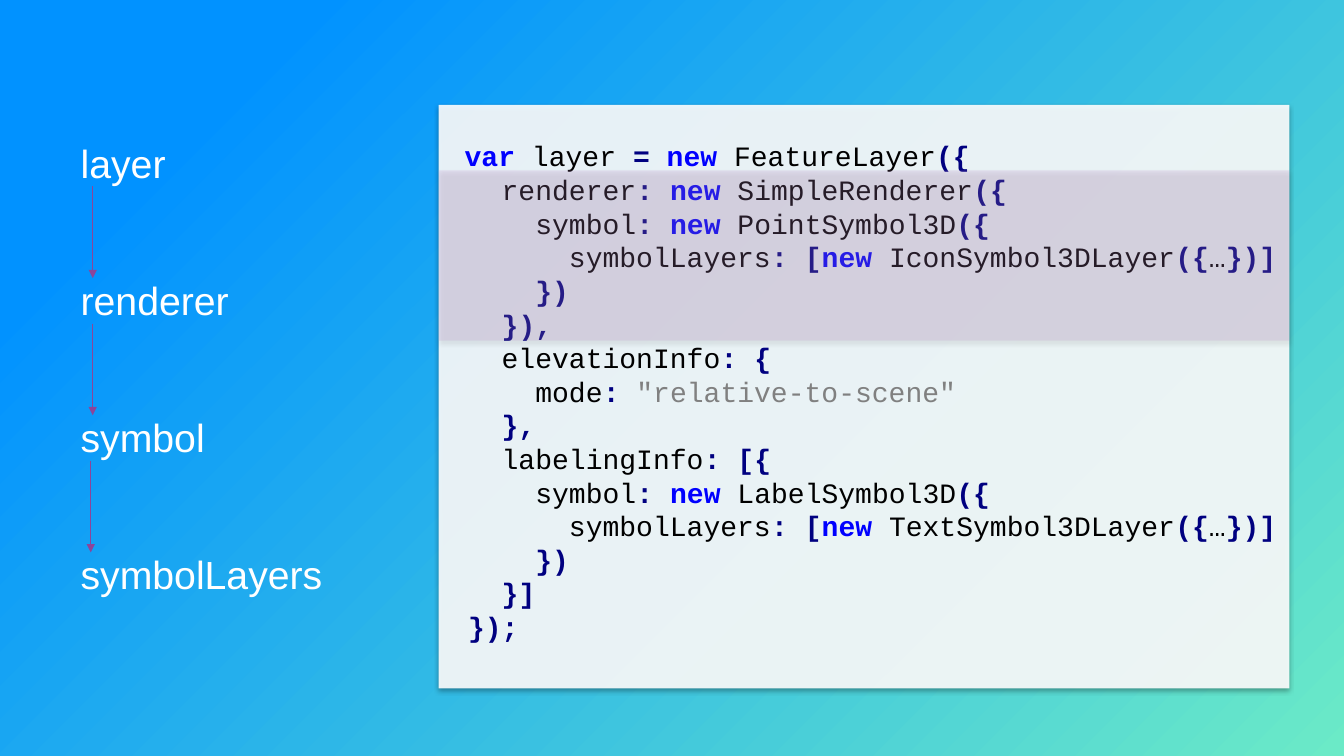
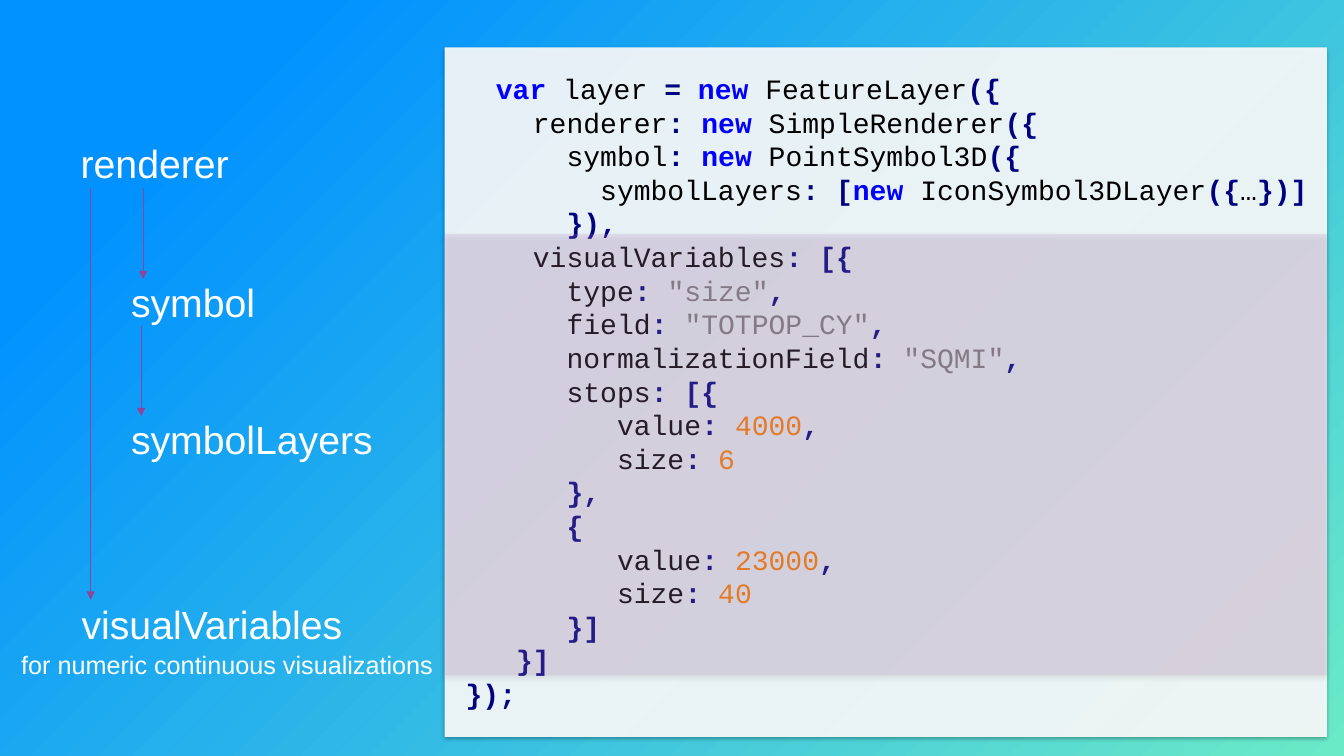
from itertools import groupby

from lxml import etree
from pptx import Presentation
from pptx.dml.color import RGBColor
from pptx.enum.shapes import MSO_CONNECTOR, MSO_SHAPE
from pptx.enum.text import MSO_ANCHOR
from pptx.oxml.ns import qn
from pptx.util import Inches, Pt

RECTANGLE = MSO_SHAPE.RECTANGLE
STRAIGHT = MSO_CONNECTOR.STRAIGHT
TOP = MSO_ANCHOR.TOP

# Shared look
SLIDE_WIDTH, SLIDE_HEIGHT = 13.33, 7.5
LABEL_FONT, CODE_FONT = "Arial", "Courier New"
LABEL_HEIGHT, LABEL_STEP = 0.47, 1.36
WHITE, ARROW, HIGHLIGHT = "FFFFFF", "8C459A", "BF8CC9"
GRADIENT = [("6BEAC7", 0), ("0192FF", 0.85)]

# Code colours: (colour, bold)
KEYWORD, PLAIN = ("0000FF", True), ("000000", False)
PUNCTUATION, STRING, NUMBER = ("000080", True), ("808080", False), ("FF8000", False)
KEYWORDS = ("var", "new")

LAYER_CODE = """\
  var layer = new FeatureLayer({
    renderer: new SimpleRenderer({
      symbol: new PointSymbol3D({
        symbolLayers: [new IconSymbol3DLayer({…})]
      })
    }),
    elevationInfo: {
      mode: "relative-to-scene"
    },
    labelingInfo: [{
      symbol: new LabelSymbol3D({
        symbolLayers: [new TextSymbol3DLayer({…})]
      })
    }]
  });"""

VARIABLES_CODE = """\
  var layer = new FeatureLayer({
    renderer: new SimpleRenderer({
      symbol: new PointSymbol3D({
        symbolLayers: [new IconSymbol3DLayer({…})]
      }),
    visualVariables: [{
      type: "size",
      field: "TOTPOP_CY",
      normalizationField: "SQMI",
      stops: [{
         value: 4000,
         size: 6
      },
      {
         value: 23000,
         size: 40
      }]
   }]
});"""


def rgb(value):
    return RGBColor.from_string(value)


def add_rectangle(slide, left, top, width, height):
    shape = slide.shapes.add_shape(
        RECTANGLE, Inches(left), Inches(top), Inches(width), Inches(height))
    shape.shadow.inherit = False
    shape.line.fill.background()
    return shape


def add_sheet(slide, left, top, width, height, color, opacity):
    """Translucent rectangle with a soft shadow below it."""
    shape = add_rectangle(slide, left, top, width, height)
    shape.fill.solid()
    shape.fill.fore_color.rgb = rgb(color)
    properties = shape._element.spPr
    fill_color = properties.find(qn("a:solidFill")).find(qn("a:srgbClr"))
    etree.SubElement(fill_color, qn("a:alpha"), val=str(opacity * 1000))
    shadow = etree.SubElement(
        properties.find(qn("a:effectLst")), qn("a:outerShdw"),
        blurRad=str(Pt(3.1)), dist=str(Pt(1.8)), dir="5400000", rotWithShape="0")
    shadow_color = etree.SubElement(shadow, qn("a:srgbClr"), val="000000")
    etree.SubElement(shadow_color, qn("a:alpha"), val="35000")


def add_text_frame(slide, left, top, width, height, inset=0):
    box = slide.shapes.add_textbox(
        Inches(left), Inches(top), Inches(width), Inches(height))
    frame = box.text_frame
    frame.word_wrap = True
    frame.vertical_anchor = TOP
    frame.margin_left, frame.margin_top = Inches(inset), Inches(inset / 2)
    frame.margin_right = frame.margin_bottom = 0
    return frame


def add_run(paragraph, text, font, size, color, bold=False):
    run = paragraph.add_run()
    run.text = text
    run.font.name = font
    run.font.size = Pt(size)
    run.font.bold = bold
    run.font.color.rgb = rgb(color)


def add_label(slide, text, left, top, width=3.01, height=LABEL_HEIGHT, size=28):
    frame = add_text_frame(slide, left, top, width, height)
    add_run(frame.paragraphs[0], text, LABEL_FONT, size, WHITE)


def add_arrow(slide, x, top, length):
    arrow = slide.shapes.add_connector(
        STRAIGHT, Inches(x), Inches(top), Inches(x), Inches(top + length))
    arrow.line.color.rgb = rgb(ARROW)
    arrow.line.width = Pt(0.75)
    etree.SubElement(arrow.line._get_or_add_ln(), qn("a:tailEnd"), type="triangle")
    etree.SubElement(arrow._element.spPr, qn("a:effectLst"))


def add_label_tree(slide, left, top, labels, arrows):
    """Labels as (text, x, y) and arrows as (x, y, length), from the tree's corner."""
    for text, x, y in labels:
        add_label(slide, text, left + x, top + y)
    for x, y, length in arrows:
        add_arrow(slide, left + x, top + y, length)


def character_kind(character):
    if character.isalnum() or character == "_":
        return "word"
    return "blank" if character in " …" else "punctuation"


def highlight_tokens(line):
    """Yield the pieces of a code line, each with its style."""
    for index, part in enumerate(line.split('"')):
        if index % 2:
            yield f'"{part}"', STRING
            continue
        for kind, characters in groupby(part, character_kind):
            token = "".join(characters)
            if kind == "punctuation":
                style = PUNCTUATION
            elif token in KEYWORDS:
                style = KEYWORD
            else:
                style = NUMBER if token.isdigit() else PLAIN
            yield token, style


def add_code_panel(slide, left, top, width, height, code, code_offset, band):
    """Code on a white sheet; band is the (offset, height) of the highlight."""
    add_sheet(slide, left, top, width, height, WHITE, 90)
    x, y = code_offset
    frame = add_text_frame(slide, left + x, top + y, width - x, height - y, inset=0.1)
    for number, line in enumerate(code.splitlines()):
        paragraph = frame.add_paragraph() if number else frame.paragraphs[0]
        paragraph.line_spacing = Pt(24)
        for position, (token, (color, bold)) in enumerate(highlight_tokens(line)):
            # The opening indent is slightly narrower
            size = 18 if number == position == 0 else 20
            add_run(paragraph, token, CODE_FONT, size, color, bold)
    band_offset, band_height = band
    add_sheet(slide, left, top + band_offset, width, band_height, HIGHLIGHT, 20)


def add_gradient_slide(presentation):
    slide = presentation.slides.add_slide(presentation.slide_layouts[6])
    backdrop = add_rectangle(slide, 0, 0, SLIDE_WIDTH, SLIDE_HEIGHT)
    backdrop.fill.gradient()
    backdrop.fill.gradient_angle = 135
    for stop, (color, position) in zip(backdrop.fill.gradient_stops, GRADIENT):
        stop.color.rgb = rgb(color)
        stop.position = position
    return slide


def build_layer_slide(presentation):
    slide = add_gradient_slide(presentation)
    names = ["layer", "renderer", "symbol", "symbolLayers"]
    labels = [(name, 0, row * LABEL_STEP) for row, name in enumerate(names)]
    arrows = [(x, row * LABEL_STEP + LABEL_HEIGHT, 0.91)
              for row, x in enumerate([0.12, 0.12, 0.1])]
    add_label_tree(slide, 0.8, 1.38, labels, arrows)
    add_code_panel(slide, 4.35, 1.04, 8.44, 5.79, LAYER_CODE,
                   code_offset=(-0.14, 0.29), band=(0.65, 1.69))


def build_variables_slide(presentation):
    slide = add_gradient_slide(presentation)
    labels = [("renderer", 0, 0), ("symbol", 0.5, 1.38),
              ("symbolLayers", 0.5, 2.74), ("visualVariables", 0.01, 4.58)]
    arrows = [(0.1, 0.49, 4.08), (0.62, 0.49, 0.9), (0.6, 1.85, 0.9)]
    add_label_tree(slide, 0.8, 1.38, labels, arrows)
    add_code_panel(slide, 4.41, 0.47, 8.75, 6.84, VARIABLES_CODE,
                   code_offset=(0.11, 0.19), band=(1.85, 4.38))
    add_label(slide, "for numeric continuous visualizations",
              0.21, 6.44, width=4.72, height=0.3, size=18)


def main():
    presentation = Presentation()
    presentation.slide_width = Inches(SLIDE_WIDTH)
    presentation.slide_height = Inches(SLIDE_HEIGHT)
    build_layer_slide(presentation)
    build_variables_slide(presentation)
    presentation.save("out.pptx")


if __name__ == "__main__":
    main()
